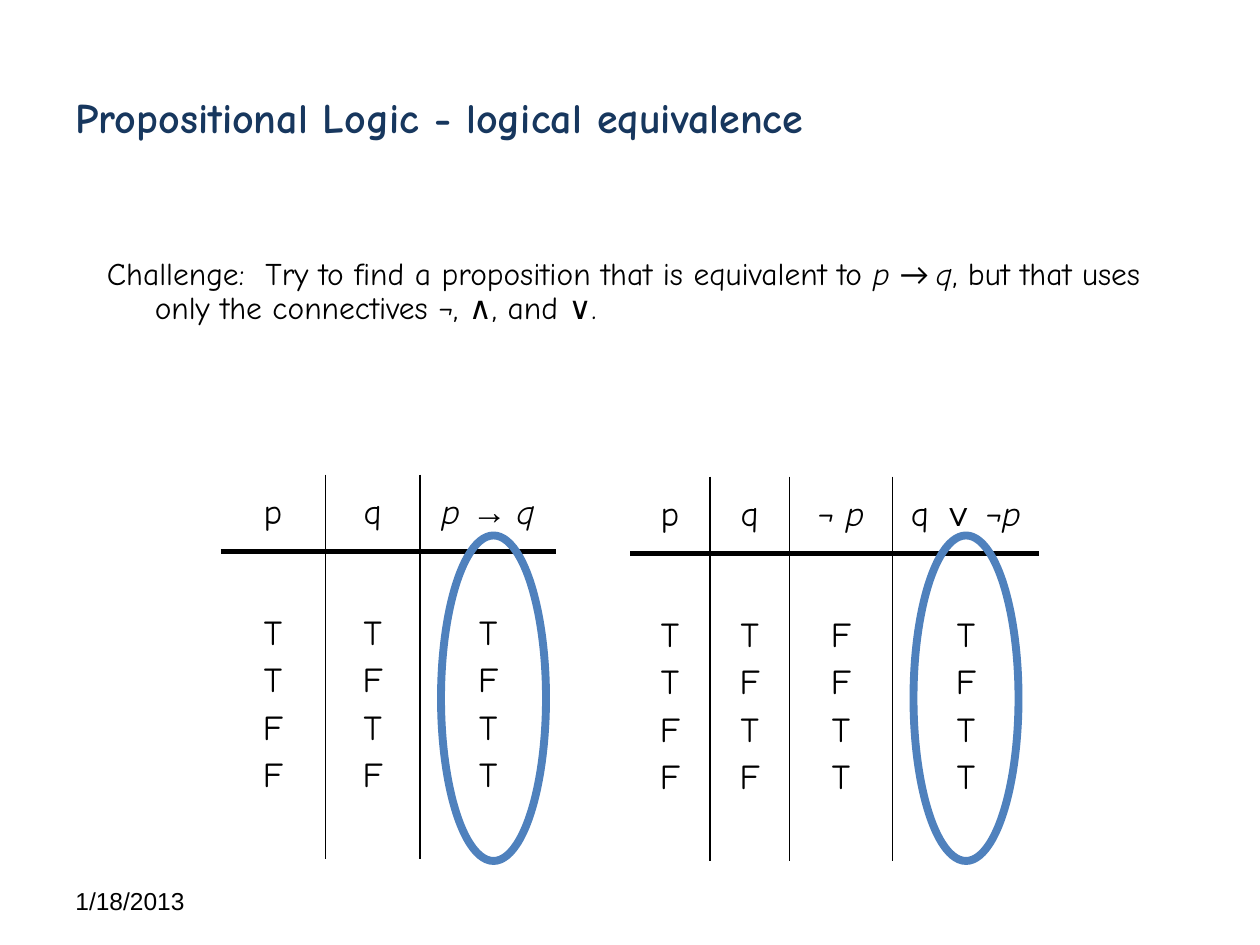
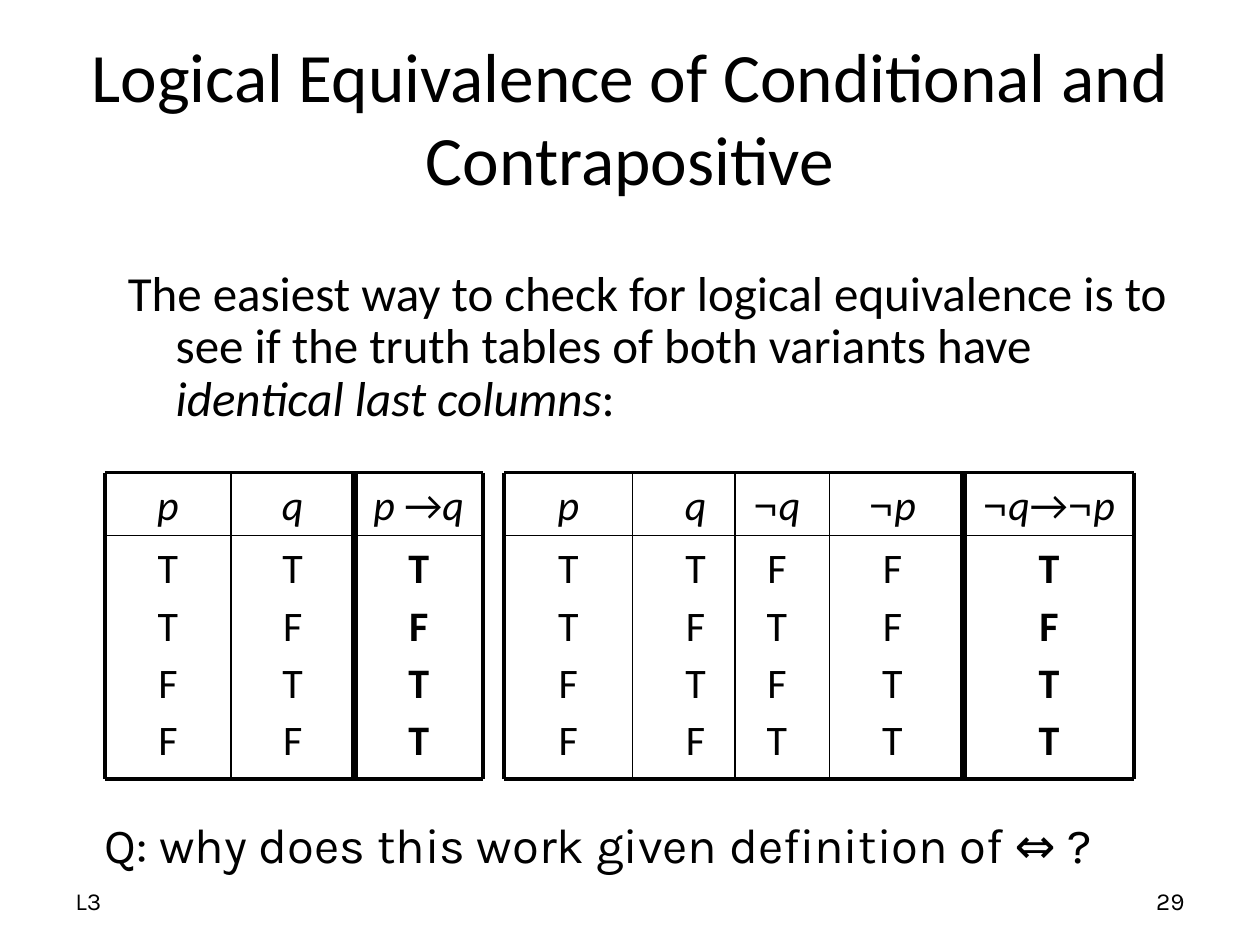
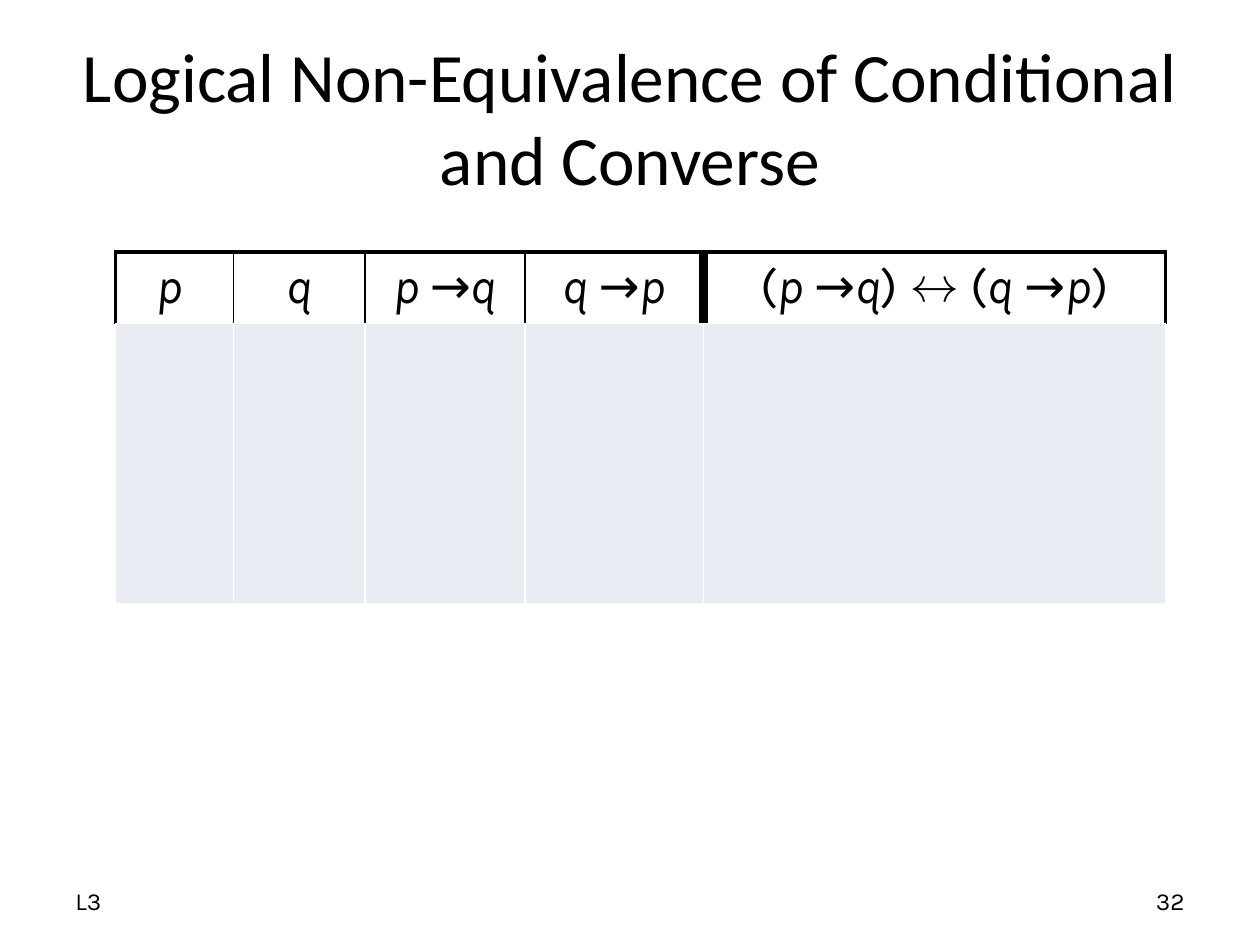
from itertools import accumulate

from lxml import etree
from pptx import Presentation
from pptx import util as u
from pptx.dml.color import RGBColor
from pptx.enum import shapes, text
from pptx.oxml.ns import qn

# The slide is a grid of 120 columns by 90 rows.
SLIDE_WIDTH, SLIDE_HEIGHT = u.Inches(10), u.Inches(7.5)
COLUMN, ROW = SLIDE_WIDTH / 120, SLIDE_HEIGHT / 90

BLACK, NAVY, BLUE = "000000", "17375E", "4F81BD"
COMIC, SANS, KARLA = "Comic Neue", "Calibri", "Karla"
ARIAL, SERIF = "Arial", "Times New Roman"
LEFT, CENTER, RIGHT = text.PP_ALIGN.LEFT, text.PP_ALIGN.CENTER, text.PP_ALIGN.RIGHT
TOP, MIDDLE = text.MSO_ANCHOR.TOP, text.MSO_ANCHOR.MIDDLE

THIN, FRAME, HEADER_RULE, DIVIDER, HEAVY = 1, 2.25, 3, 4, 6
VALUE_GAP = 4  # points between truth values in a column

P, Q, ARROW = ("p", "i"), ("q", "i"), ("→",)
P_SPACED, Q_SPACED = ("p ", "i"), ("q ", "i")
NOT = ("¬", "bi", SERIF)


def color(hex_string):
    return RGBColor.from_string(hex_string)


def grid(left, top, width, height):
    return [u.Emu(round(n * unit)) for n, unit in
            ((left, COLUMN), (top, ROW), (width, COLUMN), (height, ROW))]


def add_runs(paragraph, runs, size, font, hex_color=BLACK):
    """Each run is (text, flags, font); flags may hold b and i."""
    for content, *style in runs:
        flags = style[0] if style else ""
        run = paragraph.add_run()
        run.text = content
        run.font.size = u.Pt(size)
        run.font.name = style[1] if len(style) > 1 else font
        run.font.bold = "b" in flags
        run.font.italic = "i" in flags
        run.font.color.rgb = color(hex_color)


def fill_frame(frame, lines, size, font, align=LEFT, hex_color=BLACK):
    for index, runs in enumerate(lines):
        paragraph = frame.add_paragraph() if index else frame.paragraphs[0]
        paragraph.alignment = align
        if index:
            paragraph.space_before = u.Pt(VALUE_GAP)
        add_runs(paragraph, runs, size, font, hex_color)


def add_text(parent, box, lines, size, font, align=LEFT, anchor=TOP, hex_color=BLACK):
    frame = parent.shapes.add_textbox(*grid(*box)).text_frame
    frame.word_wrap = True
    frame.vertical_anchor = anchor
    fill_frame(frame, lines, size, font, align, hex_color)
    return frame


def add_title(slide, runs, size=39.6, font=SANS, align=CENTER, hex_color=BLACK):
    add_text(slide, (6, 3.6, 108, 15), [runs], size, font, align, MIDDLE, hex_color)


def add_footer(slide, label, font=KARLA, number=None):
    add_text(slide, (6, 83.4, 28, 4.8), [[(label,)]], 14, font, LEFT, MIDDLE)
    if number:
        add_text(slide, (86, 83.4, 28, 4.8), [[(number,)]], 14, font, RIGHT, MIDDLE)


def add_statement(slide, box, runs, size, font):
    """A paragraph with a hanging indent."""
    paragraph = add_text(slide, box, [runs], size, font).paragraphs[0]
    paragraph.line_spacing = 0.9
    properties = paragraph._p.get_or_add_pPr()
    properties.set("marL", str(u.Inches(0.38)))
    properties.set("indent", str(-u.Inches(0.38)))


def set_borders(cell, left, right, top, bottom):
    """Widths are in points; 0 hides the side."""
    properties = cell._tc.get_or_add_tcPr()
    sides = zip(("a:lnL", "a:lnR", "a:lnT", "a:lnB"), (left, right, top, bottom))
    for index, (tag, width) in enumerate(sides):
        line = etree.Element(qn(tag), w=str(u.Pt(width)))
        if width:
            fill = etree.SubElement(line, qn("a:solidFill"))
            etree.SubElement(fill, qn("a:srgbClr"), val=BLACK)
        else:
            etree.SubElement(line, qn("a:noFill"))
        properties.insert(index, line)


def add_truth_table(slide, corner, widths, heights, headers, values,
                    verticals, horizontals, size, font, anchor):
    """One header row over one row that holds whole columns of truth values."""
    box = grid(*corner, sum(widths), sum(heights))
    table = slide.shapes.add_table(2, len(widths), *box).table
    table.first_row = table.horz_banding = False
    for column, width in zip(table.columns, widths):
        column.width = u.Emu(round(width * COLUMN))
    for row, height in zip(table.rows, heights):
        row.height = u.Emu(round(height * ROW))
    bodies = [[[(value,)] for value in letters] for letters in values]
    for row, contents in enumerate(([[runs] for runs in headers], bodies)):
        for column, lines in enumerate(contents):
            cell = table.cell(row, column)
            cell.fill.background()
            cell.vertical_anchor = anchor
            set_borders(cell, *verticals[column:column + 2], *horizontals[row:row + 2])
            fill_frame(cell.text_frame, lines, size, font, CENTER)


def add_ring(slide, left):
    ring = slide.shapes.add_shape(shapes.MSO_SHAPE.OVAL, *grid(left, 51, 10, 31))
    ring.shadow.inherit = False
    ring.fill.background()
    ring.line.color.rgb = color(BLUE)
    ring.line.width = u.Pt(4.5)


def add_line(parent, x1, y1, x2, y2, width):
    ends = grid(x1, y1, x2, y2)
    line = parent.shapes.add_connector(shapes.MSO_CONNECTOR.STRAIGHT, *ends)
    line.line.color.rgb = color(BLACK)
    line.line.width = u.Pt(width)
    etree.SubElement(line._element.spPr, qn("a:effectLst"))


def add_drawn_table(slide, edges, columns):
    """A truth table of text boxes and lines; a column is (left, width, header, values)."""
    top, middle, bottom = 45, 51, 74.2
    group = slide.shapes.add_group_shape()
    for index, (left, width, header, letters) in enumerate(columns, 1):
        flags = "b" if index == len(columns) else ""
        add_text(group, (left, top, width, middle - top), [header], 24, SANS, CENTER)
        add_text(group, (left, middle, width, bottom - middle),
                 [[(value, flags)] for value in letters], 24, SANS, CENTER)
    for y, weight in ((top, FRAME), (middle, THIN), (bottom, FRAME)):
        add_line(group, edges[0], y, edges[-1], y, weight)
    weights = [FRAME] + [THIN] * (len(edges) - 3) + [DIVIDER, FRAME]
    for x, weight in zip(edges, weights):
        add_line(group, x, top, x, bottom, weight)


def build_challenge(slide):
    add_footer(slide, "1/18/2013", ARIAL)
    add_title(slide, [("Propositional Logic - logical equivalence", "b")],
              24, COMIC, LEFT, NAVY)
    add_statement(slide, (9, 24, 106, 19), [
        ("Challenge:  Try to find a proposition that is equivalent to ",),
        P_SPACED, ("→ ", "", SANS), Q,
        (", but that uses only the connectives ",), ("¬", "i"), (", ",),
        ("∧", "", SANS), (", and ",), ("∨", "", SANS), (".",)], 18, COMIC)
    style = {"heights": (7.3, 29.3), "horizontals": (0, HEADER_RULE, 0),
             "size": 20, "font": COMIC, "anchor": MIDDLE}
    add_truth_table(slide, (21, 45.2), (10, 9, 13),
                    headers=[[("p",)], [("q",)], [P_SPACED, ("→ ", "", ARIAL), Q]],
                    values=("TTFF", "TFTF", "TFTT"),
                    verticals=(0, THIN, THIN, 0), **style)
    add_truth_table(slide, (60, 45.4), (7.6, 7.6, 9.8, 14),
                    headers=[[("p",)], [("q",)], [("¬ p", "i")],
                             [("q ",), ("∨ ", "", ARIAL), ("¬p", "i")]],
                    values=("TTFF", "TFTF", "FFTT", "TFTT"),
                    verticals=(0, THIN, THIN, THIN, 0), **style)
    for left in (42, 87):
        add_ring(slide, left)


def build_contrapositive(slide):
    add_footer(slide, "L3", number="29")
    add_title(slide, [("Logical Equivalence of Conditional and Contrapositive",)])
    add_statement(slide, (11, 25, 102, 17), [
        ("The easiest way to check for logical equivalence is to see if "
         "the truth tables of both variants have ",),
        ("identical last columns", "i"), (":",)], 28, SANS)
    edges = list(accumulate((10, 12, 11.75, 12.25)))
    headers = ([P], [Q], [P_SPACED, ARROW, Q])
    widths = [right - left for left, right in zip(edges, edges[1:])]
    add_drawn_table(slide, edges,
                    list(zip(edges, widths, headers, ("TTFF", "TFTF", "TFTT"))))
    add_text(slide, (8.8, 77, 100.2, 6.8),
             [[("Q: why does this work given definition of ⇔ ?",)]], 28, KARLA)
    add_drawn_table(slide, (48, 60.25, 70, 79, 91.8, 108), [
        (48, 12.25, [P], "TTFF"),
        (60.25, 12, [Q], "TFTF"),
        (68, 12, [NOT, Q], "FTFT"),
        (79, 12, [NOT, P], "FFTT"),
        (91.8, 16.2, [NOT, Q, ARROW, NOT, P], "TFTT")])


def build_converse(slide):
    add_footer(slide, "L3", number="32")
    add_title(slide, [("Logical Non-Equivalence of Conditional and Converse",)])
    conditional = [P_SPACED, ARROW, Q]
    converse = [Q_SPACED, ARROW, P]
    add_truth_table(slide, (11, 24), (11.25, 12.5, 15.25, 17, 44), (6.8, 26.7),
                    headers=[[P_SPACED], [Q], conditional, converse,
                             [("(",), *conditional, (") ↔ (",), *converse, (")",)]],
                    values=(),
                    verticals=(FRAME, THIN, THIN, THIN, HEAVY, FRAME),
                    horizontals=(FRAME, THIN, FRAME),
                    size=28, font=KARLA, anchor=TOP)


def main():
    presentation = Presentation()
    presentation.slide_width, presentation.slide_height = SLIDE_WIDTH, SLIDE_HEIGHT
    blank = presentation.slide_layouts[6]
    for build in (build_challenge, build_contrapositive, build_converse):
        build(presentation.slides.add_slide(blank))
    presentation.save("out.pptx")


if __name__ == "__main__":
    main()
